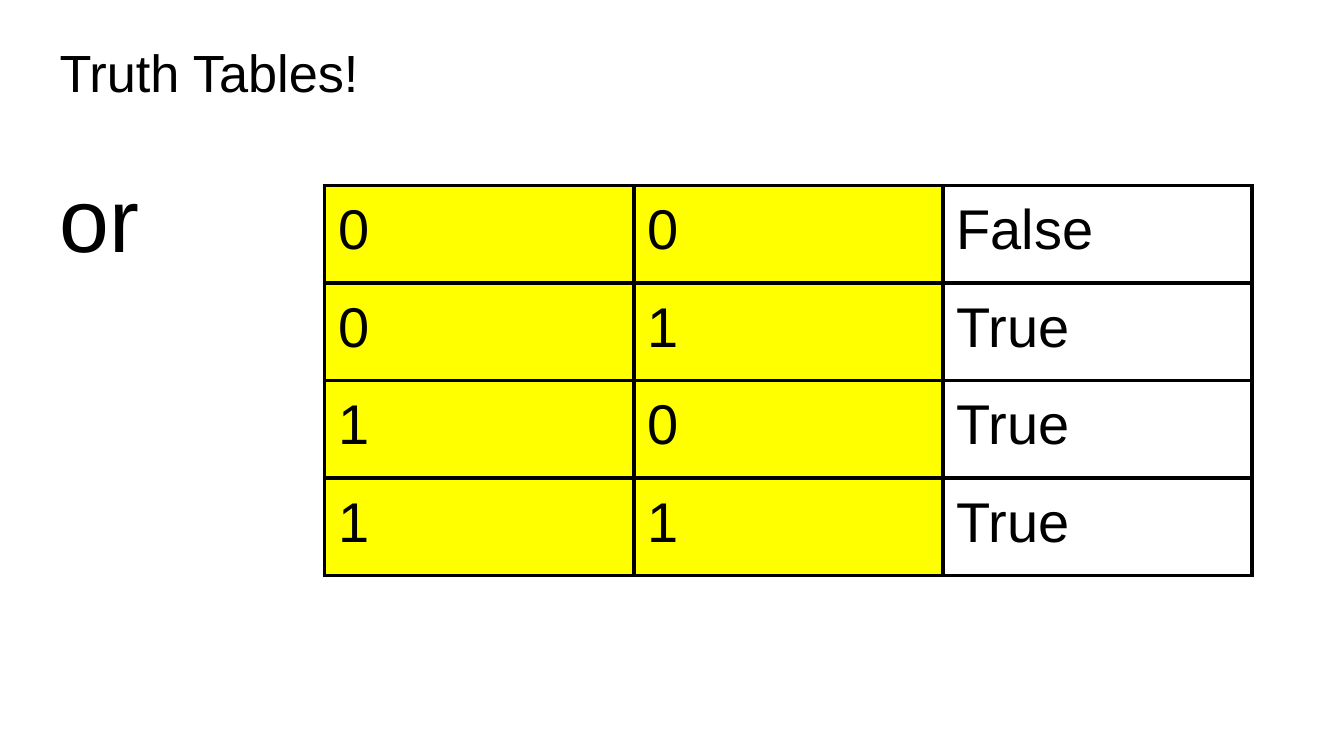
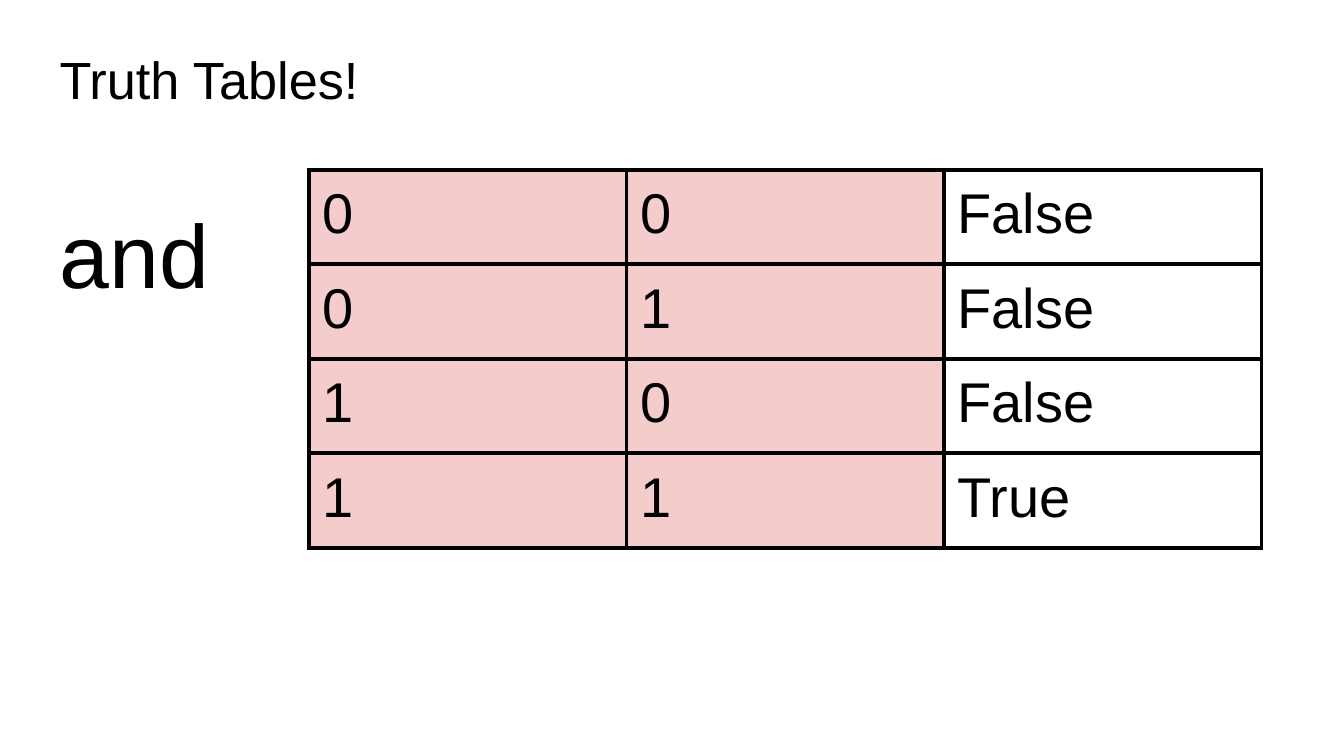
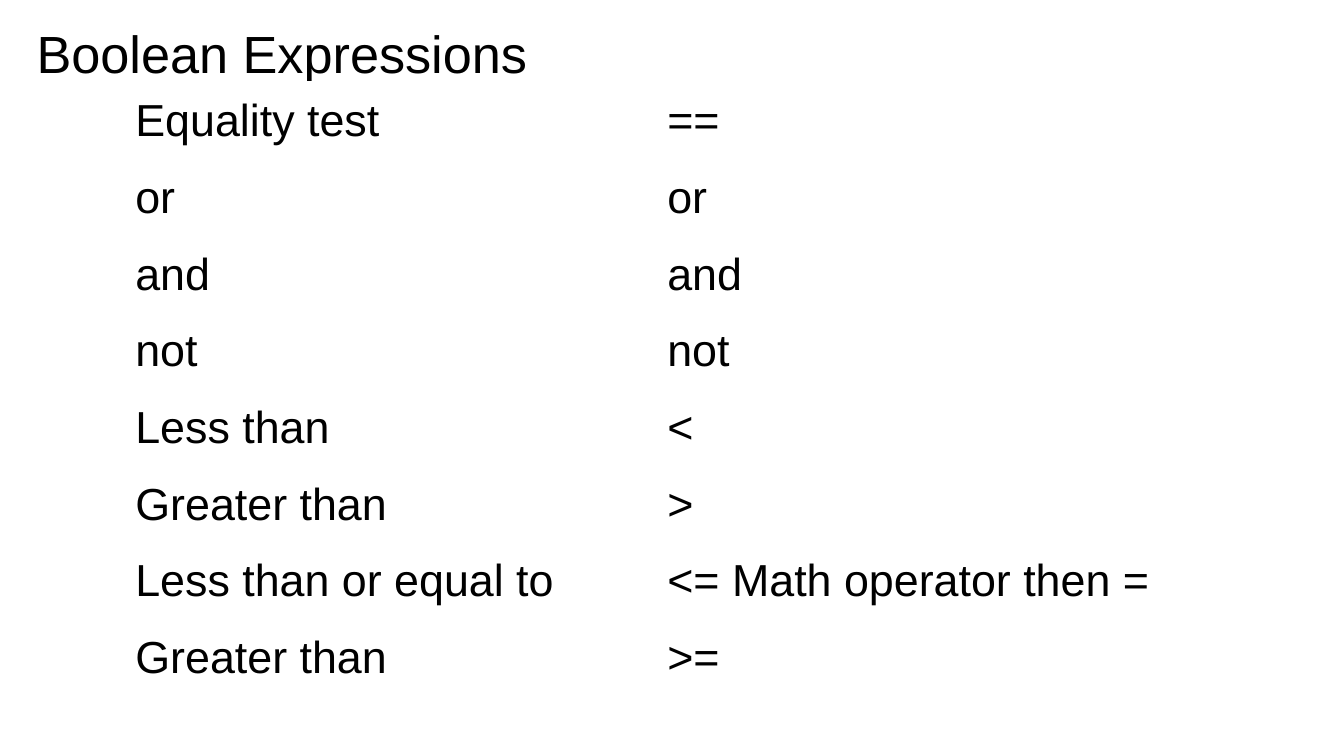
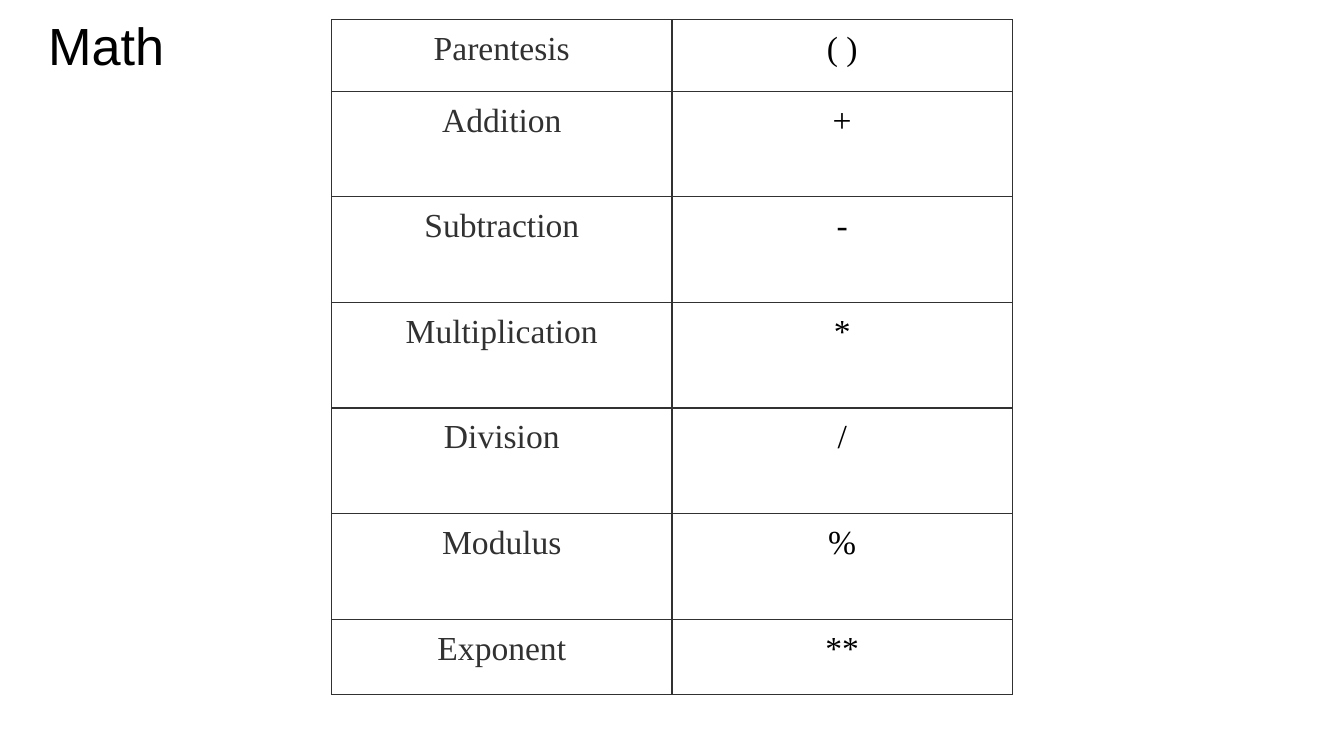
"""Build four slides on truth tables, boolean expressions and math operators."""
from dataclasses import dataclass

from lxml import etree
from pptx import Presentation
from pptx import util as u
from pptx.dml.color import RGBColor
from pptx.enum import text
from pptx.oxml import ns


@dataclass(frozen=True)
class Theme:
    black: str = "000000"
    white: str = "FFFFFF"
    charcoal: str = "313131"
    yellow: str = "FFFF00"
    pink: str = "F4CCCC"
    sans: str = "Arial"
    serif: str = "Times New Roman"
    title: int = 28
    operator: int = 48
    truth: int = 30
    expression: int = 24
    math: int = 18
    inset: float = 7.2
    tight_inset: float = 5
    math_inset: float = 5.8


theme = Theme()


def add_text(slide, wording, left, top, height, size):
    frame = slide.shapes.add_textbox(u.Pt(left), u.Pt(top), u.Pt(671), u.Pt(height)).text_frame
    frame.word_wrap = True
    frame.margin_left = frame.margin_right = u.Pt(theme.inset)
    frame.margin_top = frame.margin_bottom = u.Pt(theme.inset)
    paragraph = frame.paragraphs[0]
    paragraph.text = wording
    paragraph.font.size = u.Pt(size)
    paragraph.font.name = theme.sans
    paragraph.font.color.rgb = RGBColor.from_string(theme.black)
    return paragraph


def add_grid(slide, rows, left, top, column_width, heights, size, border, border_width,
             font=theme.sans, inset=theme.inset, bottom_inset=theme.inset,
             inks=None, fills=None, align=None):
    columns = len(rows[0])
    grid = slide.shapes.add_table(len(rows), columns, u.Pt(left), u.Pt(top),
                                  u.Pt(column_width * columns), u.Pt(sum(heights))).table
    grid.first_row = grid.horz_banding = False
    for column in grid.columns:
        column.width = u.Pt(column_width)
    for r, (row, height) in enumerate(zip(rows, heights)):
        grid.rows[r].height = u.Pt(height)
        for c, wording in enumerate(row):
            cell = grid.cell(r, c)
            cell.margin_left = cell.margin_right = cell.margin_top = u.Pt(inset)
            cell.margin_bottom = u.Pt(bottom_inset)
            properties = cell._tc.get_or_add_tcPr()
            for side in ("a:lnL", "a:lnR", "a:lnT", "a:lnB"):
                line = etree.SubElement(properties, ns.qn(side), w=str(u.Pt(border_width)))
                solid = etree.SubElement(line, ns.qn("a:solidFill"))
                etree.SubElement(solid, ns.qn("a:srgbClr"), val=border)
            if fills and fills[c]:
                cell.fill.solid()
                cell.fill.fore_color.rgb = RGBColor.from_string(fills[c])
            else:
                cell.fill.background()
            paragraph = cell.text_frame.paragraphs[0]
            paragraph.text = wording
            paragraph.alignment = align
            paragraph.font.size = u.Pt(size)
            paragraph.font.name = font
            ink = inks[c] if inks else theme.black
            paragraph.font.color.rgb = RGBColor.from_string(ink)
    return grid


deck = Presentation()
deck.slide_width, deck.slide_height = u.Pt(720), u.Pt(405)
blank = deck.slide_layouts[6]

titles = [
    ("Truth Tables!", 24.8, 14.4),
    ("Truth Tables!", 24.8, 18),
    ("Boolean Expressions", 12.5, 4.3),
    ("Math", 18.7, 0),
]
for title, left, top in titles:
    add_text(deck.slides.add_slide(blank), title, left, top, 48, theme.title)
or_slide, and_slide, boolean_slide, math_slide = deck.slides

truth_tables = [
    (or_slide, "or", 71.3, 263, (173.9, 99.4), 165.6, 52.25, theme.yellow,
     ("False", "True", "True", "True")),
    (and_slide, "and", 90.7, 269, (165.6, 90.9), 170.1, 50.65, theme.pink,
     ("False", "False", "False", "True")),
]
inputs = [("0", "0"), ("0", "1"), ("1", "0"), ("1", "1")]
for slide, operator, top, height, corner, width, row_height, tint, results in truth_tables:
    operator_label = add_text(slide, operator, 24.8, top, height, theme.operator)
    operator_label.line_spacing = 1.15
    operator_label.space_after = u.Pt(16)
    truth_rows = [(*pair, result) for pair, result in zip(inputs, results)]
    add_grid(slide, truth_rows, *corner, width, [row_height] * 4, theme.truth,
             theme.black, 2.25, fills=(tint, tint, None))

expressions = [
    ("Equality test", "=="),
    ("or", "or"),
    ("and", "and"),
    ("not", "not"),
    ("Less than", "<"),
    ("Greater than", ">"),
    ("Less than or equal to", "<= Math operator then ="),
    ("Greater than", ">="),
]
add_grid(boolean_slide, expressions, 65.3, 44.3, 285, [41.1] * 8, theme.expression,
         theme.white, 2.25, bottom_inset=theme.tight_inset)

operations = [
    ("Parentesis", "( )"),
    ("Addition", "+"),
    ("Subtraction", "-"),
    ("Multiplication", "*"),
    ("Division", "/"),
    ("Modulus", "%"),
    ("Exponent", "**"),
]
math_grid = add_grid(math_slide, operations, 177.7, 10.6, 182.3, [38.3, *[56.6] * 5, 40.5],
                     theme.math, theme.charcoal, 0.75, font=theme.serif,
                     inset=theme.math_inset, bottom_inset=theme.math_inset,
                     inks=(theme.charcoal, theme.black), align=text.PP_ALIGN.CENTER)
for r in range(len(operations)):
    math_grid.cell(r, 0).text_frame.paragraphs[0].space_after = u.Pt(15)

deck.save("out.pptx")
